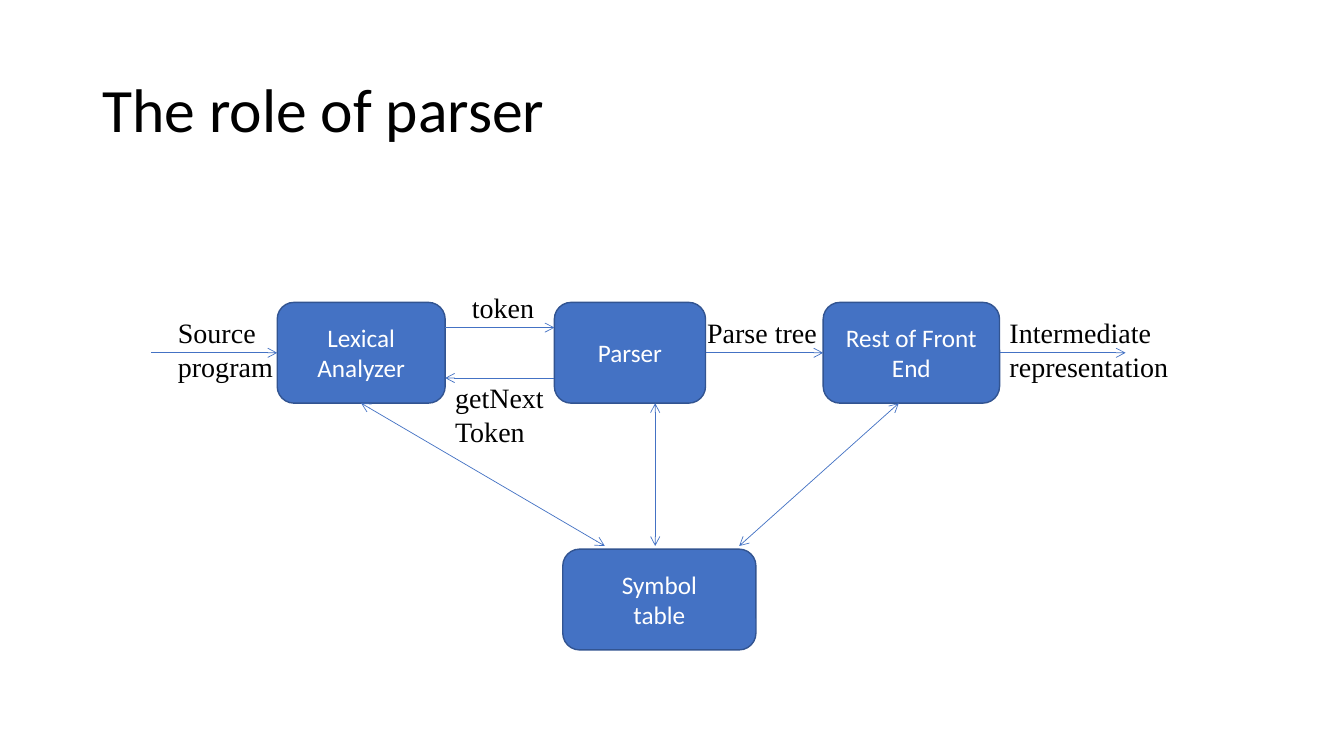
from typing import NamedTuple

from lxml import etree
from pptx import Presentation
from pptx.dml.color import RGBColor
from pptx.enum.shapes import MSO_CONNECTOR, MSO_SHAPE
from pptx.enum.text import MSO_ANCHOR, MSO_AUTO_SIZE, PP_ALIGN
from pptx.oxml.ns import qn
from pptx.shapes.connector import Connector
from pptx.slide import Slide
from pptx.text.text import TextFrame
from pptx.util import Emu, Pt

EMU_PER_PX = 9525
SLIDE_WIDTH, SLIDE_HEIGHT = 1280, 720

BLACK = RGBColor(0x00, 0x00, 0x00)
WHITE = RGBColor(0xFF, 0xFF, 0xFF)
BLUE = RGBColor(0x44, 0x72, 0xC4)
DARK_BLUE = RGBColor(0x32, 0x54, 0x91)

ROUNDED = MSO_SHAPE.ROUNDED_RECTANGLE
STRAIGHT = MSO_CONNECTOR.STRAIGHT
MIDDLE = MSO_ANCHOR.MIDDLE
GROW = MSO_AUTO_SIZE.SHAPE_TO_FIT_TEXT
LEFT, CENTER = PP_ALIGN.LEFT, PP_ALIGN.CENTER

BODY_FONT = "Calibri"
LABEL_FONT = "Times New Roman"

PHASE_TOP, PHASE_HEIGHT = 288, 96
PHASE_MIDDLE = PHASE_TOP + PHASE_HEIGHT // 2
PHASE_BOTTOM = PHASE_TOP + PHASE_HEIGHT
TOKEN_OFFSET = 24
TABLE_TOP = 523
TABLE_ARROW_END = 520


class Box(NamedTuple):
    left: int
    top: int
    width: int
    height: int
    lines: tuple[str, ...]

    @property
    def right(self) -> int:
        return self.left + self.width


class Arrow(NamedTuple):
    x1: int
    y1: int
    x2: int
    y2: int
    both_ways: bool = False


TITLE = Box(88, 38, 1104, 139, ("The role of parser",))

LEXER = Box(264, PHASE_TOP, 160, PHASE_HEIGHT, ("Lexical Analyzer",))
PARSER = Box(528, PHASE_TOP, 144, PHASE_HEIGHT, ("Parser",))
FRONT_END = Box(784, PHASE_TOP, 168, PHASE_HEIGHT, ("Rest of Front End",))
SYMBOL_TABLE = Box(536, TABLE_TOP, 184, PHASE_HEIGHT, ("Symbol", "table"))

TOKEN_Y = PHASE_MIDDLE - TOKEN_OFFSET
REQUEST_Y = PHASE_MIDDLE + TOKEN_OFFSET
ARROWS = (
    Arrow(144, PHASE_MIDDLE, LEXER.left, PHASE_MIDDLE),
    Arrow(LEXER.right, TOKEN_Y, PARSER.left, TOKEN_Y),
    Arrow(PARSER.left, REQUEST_Y, LEXER.right, REQUEST_Y),
    Arrow(PARSER.right, PHASE_MIDDLE, FRONT_END.left, PHASE_MIDDLE),
    Arrow(FRONT_END.right, PHASE_MIDDLE, 1072, PHASE_MIDDLE),
    Arrow(344, PHASE_BOTTOM, 576, TABLE_ARROW_END, both_ways=True),
    Arrow(624, PHASE_BOTTOM, 624, TABLE_ARROW_END, both_ways=True),
    Arrow(856, PHASE_BOTTOM, 704, TABLE_ARROW_END, both_ways=True),
)

LABELS = (
    Box(160, 296, 110, 74, ("Source", "program")),
    Box(440, 272, 79, 42, ("token",)),
    Box(424, 358, 105, 74, ("getNext", "Token")),
    Box(664, 296, 125, 42, ("Parse tree",)),
    Box(952, 296, 172, 74, ("Intermediate", "representation")),
)


def px(length: int) -> Emu:
    return Emu(length * EMU_PER_PX)


def bounds(box: Box) -> tuple[Emu, Emu, Emu, Emu]:
    return px(box.left), px(box.top), px(box.width), px(box.height)


def write_lines(frame: TextFrame, lines: tuple[str, ...], font: str, size: int,
                color: RGBColor, align: PP_ALIGN = LEFT) -> None:
    """Write each line as its own paragraph."""
    for index, line in enumerate(lines):
        paragraph = frame.add_paragraph() if index else frame.paragraphs[0]
        paragraph.alignment = align
        run = paragraph.add_run()
        run.text = line
        run.font.name = font
        run.font.size = Pt(size)
        run.font.color.rgb = color


def draw_title(slide: Slide, title: Box) -> None:
    frame = slide.shapes.add_textbox(*bounds(title)).text_frame
    frame.word_wrap = True
    frame.vertical_anchor = MIDDLE
    write_lines(frame, title.lines, BODY_FONT, 44, BLACK)
    frame.paragraphs[0].line_spacing = 0.9


def draw_phase(slide: Slide, phase: Box) -> None:
    shape = slide.shapes.add_shape(ROUNDED, *bounds(phase))
    shape.shadow.inherit = False
    shape.fill.solid()
    shape.fill.fore_color.rgb = BLUE
    shape.line.color.rgb = DARK_BLUE
    shape.line.width = Pt(1)
    frame = shape.text_frame
    frame.word_wrap = True
    frame.vertical_anchor = MIDDLE
    write_lines(frame, phase.lines, BODY_FONT, 18, WHITE, CENTER)


def draw_label(slide: Slide, label: Box) -> None:
    frame = slide.shapes.add_textbox(*bounds(label)).text_frame
    frame.word_wrap = False
    frame.auto_size = GROW
    write_lines(frame, label.lines, LABEL_FONT, 20, BLACK)


def add_arrowheads(connector: Connector, both_ways: bool) -> None:
    line = connector.line._get_or_add_ln()
    ends = ("a:headEnd", "a:tailEnd") if both_ways else ("a:tailEnd",)
    for end in ends:
        etree.SubElement(line, qn(end), type="arrow")


def draw_arrow(slide: Slide, arrow: Arrow) -> None:
    connector = slide.shapes.add_connector(
        STRAIGHT, px(arrow.x1), px(arrow.y1), px(arrow.x2), px(arrow.y2))
    connector.line.color.rgb = BLUE
    connector.line.width = Pt(0.5)
    add_arrowheads(connector, arrow.both_ways)
    etree.SubElement(connector._element.spPr, qn("a:effectLst"))


def main() -> None:
    presentation = Presentation()
    presentation.slide_width = px(SLIDE_WIDTH)
    presentation.slide_height = px(SLIDE_HEIGHT)
    blank_layout = presentation.slide_layouts[6]
    slide = presentation.slides.add_slide(blank_layout)

    draw_title(slide, TITLE)
    for phase in (LEXER, PARSER, FRONT_END, SYMBOL_TABLE):
        draw_phase(slide, phase)
    for arrow in ARROWS:
        draw_arrow(slide, arrow)
    for label in LABELS:
        draw_label(slide, label)

    presentation.save("out.pptx")


if __name__ == "__main__":
    main()
